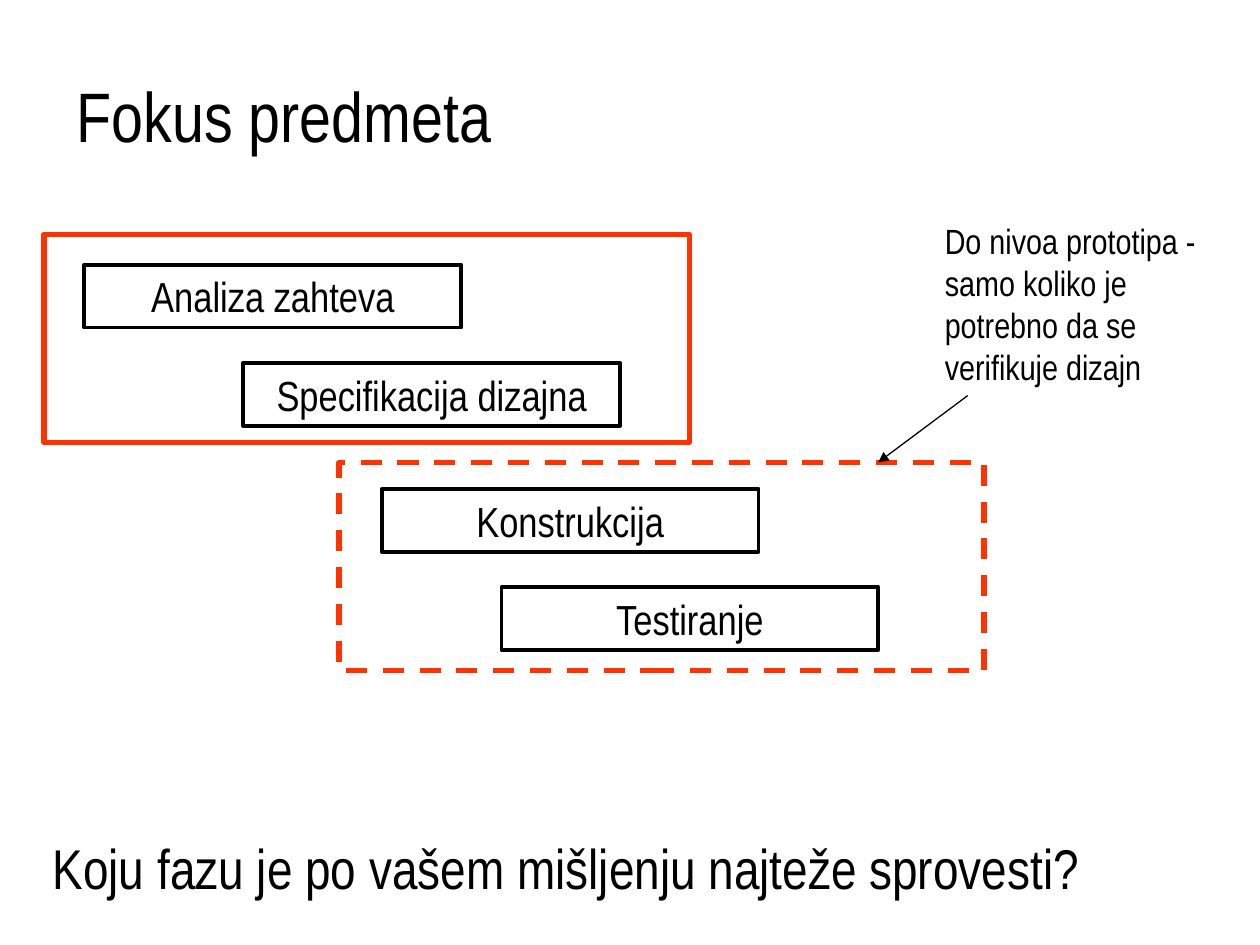
from dataclasses import dataclass

from lxml.etree import SubElement
from pptx import Presentation
from pptx.dml.color import RGBColor
from pptx.enum.dml import MSO_LINE
from pptx.enum.shapes import MSO_CONNECTOR, MSO_SHAPE
from pptx.enum.text import MSO_ANCHOR, PP_ALIGN
from pptx.oxml.ns import qn
from pptx.util import Inches, Pt


@dataclass(frozen=True)
class Theme:
    font: str = "Arial Narrow"
    ink: RGBColor = RGBColor(0x00, 0x00, 0x00)
    accent: RGBColor = RGBColor(0xFF, 0x33, 0x00)
    title_size: int = 40
    question_size: int = 32
    phase_size: int = 24
    note_size: int = 20
    frame_line: float = 3
    phase_line: float = 2.25
    arrow_line: float = 0.75


THEME = Theme()

TITLE = "Fokus predmeta"
NOTE = "Do nivoa prototipa - samo koliko je potrebno da se verifikuje dizajn"
QUESTION = "Koju fazu je po vašem mišljenju najteže sprovesti?"
PHASE_GROUPS = [
    {
        "frame": (0.35, 1.86),
        "dash": None,
        "first_top": 2.1,
        "phases": [("Analiza zahteva", 0.67), ("Specifikacija dizajna", 1.93)],
    },
    {
        "frame": (2.69, 3.67),
        "dash": MSO_LINE.DASH,
        "first_top": 3.88,
        "phases": [("Konstrukcija", 3.03), ("Testiranje", 3.98)],
    },
]
FRAME_SIZE = (5.12, 1.65)
PHASE_SIZE = (2.99, 0.5)
PHASE_STEP = 0.78
ARROW = (7.68, 3.14, 6.97, 3.67)


def inches(values):
    return [Inches(value) for value in values]


def write_text(shape, text, *, size, align=PP_ALIGN.LEFT, anchor=MSO_ANCHOR.TOP):
    frame = shape.text_frame
    frame.word_wrap = True
    frame.vertical_anchor = anchor
    paragraph = frame.paragraphs[0]
    paragraph.alignment = align
    run = paragraph.add_run()
    run.text = text
    run.font.name = THEME.font
    run.font.size = Pt(size)
    run.font.color.rgb = THEME.ink


def add_text(slide, box, text, **text_format):
    write_text(slide.shapes.add_textbox(*inches(box)), text, **text_format)


def add_outline(slide, box, color, width, dash=None):
    shape = slide.shapes.add_shape(MSO_SHAPE.RECTANGLE, *inches(box))
    shape.shadow.inherit = False
    shape.fill.background()
    shape.line.color.rgb = color
    shape.line.width = Pt(width)
    if dash is not None:
        shape.line.dash_style = dash
    return shape


def add_phase_group(slide, group):
    add_outline(slide, group["frame"] + FRAME_SIZE, THEME.accent,
                THEME.frame_line, group["dash"])
    for index, (name, left) in enumerate(group["phases"]):
        top = group["first_top"] + index * PHASE_STEP
        phase = add_outline(slide, (left, top) + PHASE_SIZE, THEME.ink, THEME.phase_line)
        write_text(phase, name, size=THEME.phase_size, align=PP_ALIGN.CENTER)


def add_arrow(slide, ends):
    arrow = slide.shapes.add_connector(MSO_CONNECTOR.STRAIGHT, *inches(ends))
    arrow.line.color.rgb = THEME.ink
    arrow.line.width = Pt(THEME.arrow_line)
    SubElement(arrow.line._get_or_add_ln(), qn("a:tailEnd"), type="triangle")
    SubElement(arrow._element.spPr, qn("a:effectLst"))


def main():
    presentation = Presentation()
    presentation.slide_width, presentation.slide_height = inches((10, 7.5))
    slide = presentation.slides.add_slide(presentation.slide_layouts[6])
    add_text(slide, (0.51, 0.28, 9, 1.25), TITLE,
             size=THEME.title_size, anchor=MSO_ANCHOR.MIDDLE)
    for group in PHASE_GROUPS:
        add_phase_group(slide, group)
    add_text(slide, (7.4, 1.69, 2.6, 1.44), NOTE, size=THEME.note_size)
    add_arrow(slide, ARROW)
    add_text(slide, (0.32, 6.57, 9.17, 0.64), QUESTION, size=THEME.question_size)
    presentation.save("out.pptx")


if __name__ == "__main__":
    main()
